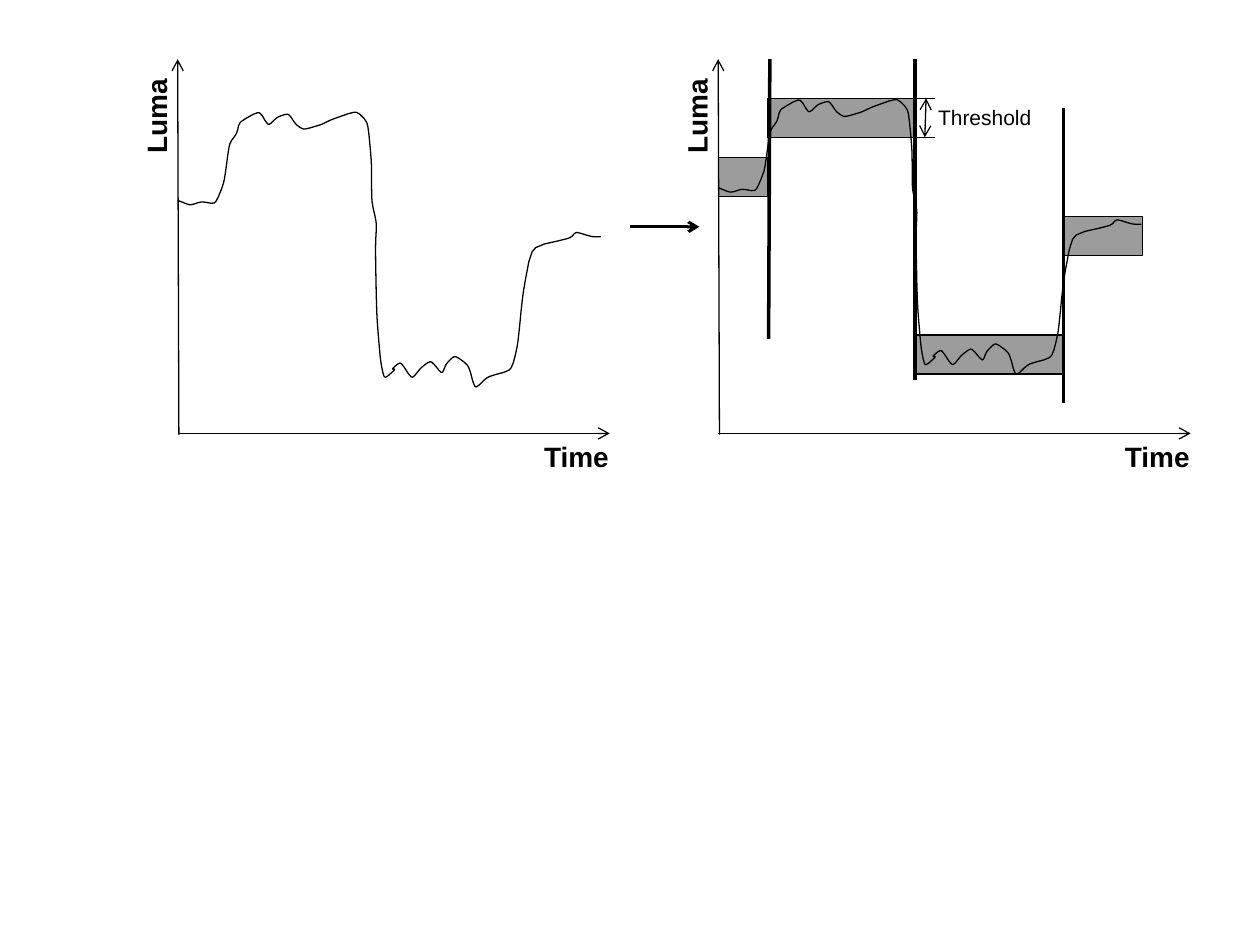
from lxml import etree
from pptx import Presentation
from pptx.dml.color import RGBColor
from pptx.enum.shapes import MSO_CONNECTOR, MSO_SHAPE
from pptx.enum.text import MSO_AUTO_SIZE, PP_ALIGN
from pptx.oxml.ns import qn
from pptx.util import Inches, Pt

LINE, RECT = MSO_CONNECTOR.STRAIGHT, MSO_SHAPE.RECTANGLE
FIT, LEFT, MID = MSO_AUTO_SIZE.SHAPE_TO_FIT_TEXT, PP_ALIGN.LEFT, PP_ALIGN.CENTER

THEME = {"ink": RGBColor(0, 0, 0), "font": "Arial", "axis": 16, "note": 12,
         "thin": 0.75, "flow": 1.75, "cut": 2, "alpha": 39}

# Luma curve: turning points, rounded off when drawn
CURVE = [
    (1.41, 1.59), (1.51, 1.63), (1.6, 1.6), (1.71, 1.62), (1.78, 1.45),
    (1.82, 1.14), (1.88, 1.06), (1.9, 0.97), (2.06, 0.88), (2.13, 1),
    (2.2, 0.93), (2.29, 0.9), (2.35, 0.99), (2.41, 1.03), (2.55, 0.99),
    (2.63, 0.95), (2.83, 0.88), (2.92, 0.97), (2.95, 1.29), (2.95, 1.6),
    (2.99, 1.77), (2.98, 1.96), (2.99, 2.5), (3.02, 2.86), (3.05, 3.01),
    (3.14, 2.93), (3.11, 2.93), (3.18, 2.87), (3.27, 3.01), (3.34, 2.92),
    (3.42, 2.86), (3.51, 2.97), (3.54, 2.89), (3.61, 2.82), (3.72, 2.9),
    (3.77, 3.09), (3.87, 2.99), (4.06, 2.94), (4.11, 2.74), (4.15, 2.33),
    (4.22, 1.96), (4.53, 1.89), (4.57, 1.84), (4.7, 1.88), (4.77, 1.88),
]

# Each plot: left edge, right end of the time axis, curve lift
PLOTS = [(1.41, 4.84, 0), (5.7, 9.45, -0.1)]
TOP, BASE = 0.47, 3.44

# Segment cuts: x at top, top, x at bottom, bottom
CUTS = [(6.11, TOP, 6.1, 2.69), (7.26, TOP, 7.26, 3.02), (8.44, 0.86, 8.44, 3.2)]

# Threshold bands: left, top, width; all share one height
BANDS = [(5.7, 1.25, 0.39), (6.09, 0.78, 1.17), (7.27, 2.66, 1.17), (8.44, 1.72, 0.63)]
BAND = 0.31
MARK = 0.78

prs = Presentation()
prs.slide_width, prs.slide_height = Inches(10), Inches(7.5)
shapes = prs.slides.add_slide(prs.slide_layouts[6]).shapes


def style(obj, values):
    for name, value in values.items():
        setattr(obj, name, value)


def stroke(shape, width):
    style(shape.line, {"width": Pt(width)})
    shape.line.color.rgb = THEME["ink"]


def line(ends, width="thin", tips=()):
    rule = shapes.add_connector(LINE, *map(Inches, ends))
    stroke(rule, THEME[width])
    props = rule._element.spPr
    for tip in tips:
        etree.SubElement(props.find(qn("a:ln")), qn("a:" + tip), type="arrow")
    etree.SubElement(props, qn("a:effectLst"))


def label(text, box, size="axis", bold=True, turn=0, align=LEFT):
    item = shapes.add_textbox(*map(Inches, box))
    item.rotation = turn
    style(item.text_frame, {"word_wrap": False, "auto_size": FIT})
    para = item.text_frame.paragraphs[0]
    para.alignment = align
    run = para.add_run()
    run.text = text
    style(run.font, {"name": THEME["font"], "size": Pt(THEME[size]), "bold": bold})
    run.font.color.rgb = THEME["ink"]


def soften(dots, cut):
    """Replace each corner by two points, a share of the way along its sides."""
    out = [dots[0]]
    for (ax, ay), (bx, by) in zip(dots, dots[1:]):
        for t in (cut, 1 - cut):
            out.append((ax + (bx - ax) * t, ay + (by - ay) * t))
    return out + [dots[-1]]


# Luma curve in both plots
dots = soften(soften(CURVE, 0.15), 0.25)
for left, _, lift in PLOTS:
    move = left - PLOTS[0][0]
    spots = [(Inches(x + move), Inches(y + lift)) for x, y in dots]
    pen = shapes.build_freeform(*spots[0], scale=1.0)
    pen.add_line_segments(spots[1:], close=False)
    curve = pen.convert_to_shape()
    curve.shadow.inherit = False
    curve.fill.background()
    stroke(curve, THEME["thin"])

# Segment cuts
for cut in CUTS:
    line(cut, "cut")

# Threshold bands
for left, top, width in BANDS:
    band = shapes.add_shape(RECT, *map(Inches, (left, top, width, BAND)))
    band.shadow.inherit = False
    band.fill.solid()
    band.fill.fore_color.rgb = THEME["ink"]
    tint = band._element.spPr.find(".//" + qn("a:srgbClr"))
    etree.SubElement(tint, qn("a:alpha"), val=str(THEME["alpha"] * 1000))
    stroke(band, THEME["thin"])

# Axes and their names
for left, right, _ in PLOTS:
    line((left, BASE, right, BASE), tips=["tailEnd"])
    line((left + 0.01, BASE + 0.01, left, TOP), tips=["tailEnd"])
    label("Luma", (left - 0.6, 0.7, 0.86, 0.37), turn=270)
    label("Time", (right - 0.62, BASE, 0.72, 0.37))

# Arrow between the plots
line((5, 1.8, 5.55, 1.8), "flow", ["tailEnd"])

# Threshold measure
for y in (MARK, MARK + BAND):
    line((7.27, y, 7.42, y))
line((7.35, MARK, 7.34, MARK + BAND), tips=["headEnd", "tailEnd"])
label("Threshold", (7.34, MARK, 0.95, 0.3), "note", False, align=MID)

prs.save("out.pptx")
